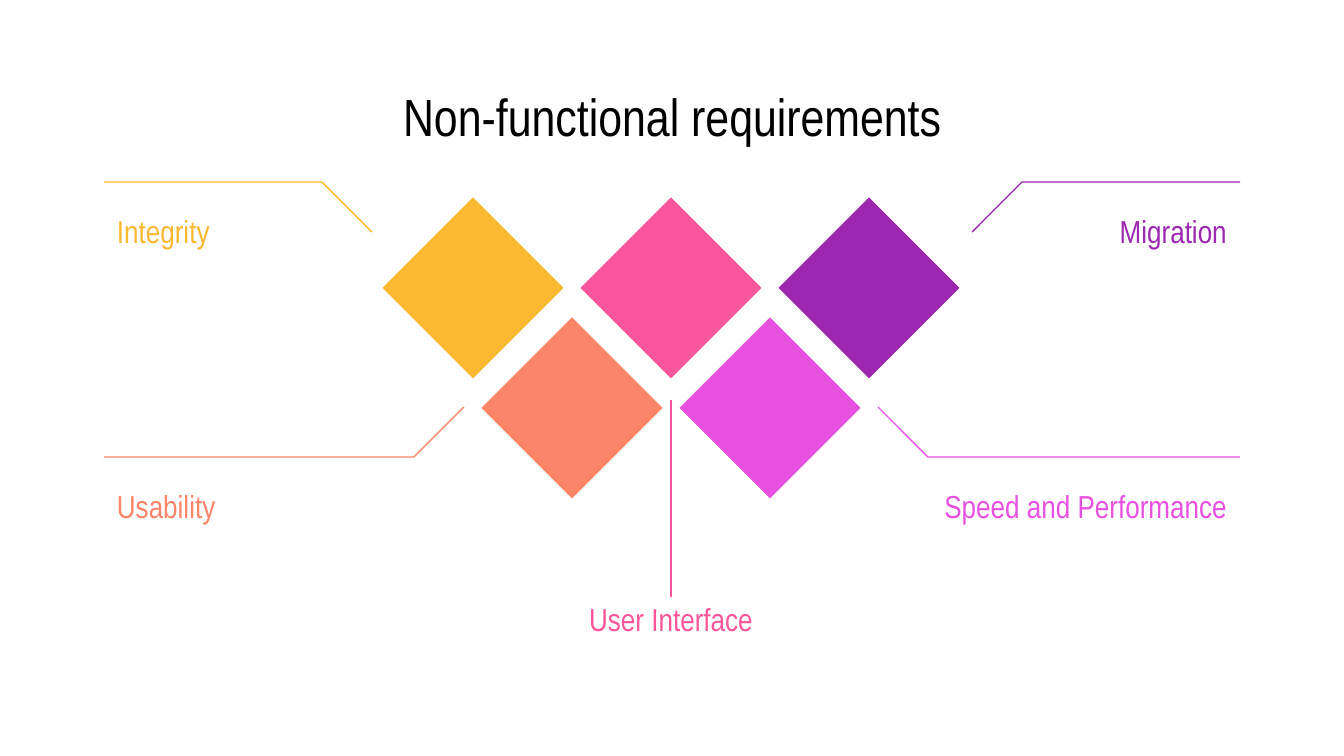
from pptx import Presentation
from pptx.dml.color import RGBColor
from pptx.enum import shapes, text
from pptx.oxml import ns
from pptx.util import Emu, Pt
from lxml import etree

PX = 914400 / 134.4
FONT = "Arial Narrow"
COLOURS = {
    "title": "000000",
    "integrity": "FBB831",
    "usability": "FB8569",
    "interface": "FB569C",
    "speed": "E850E0",
    "migration": "9C27B0",
}
ALIGN = text.PP_ALIGN


def px(value):
    return Emu(round(value * PX))


def colour(name):
    return RGBColor.from_string(COLOURS[name])


def add_label(page, box, wording, name, size, align):
    label = page.shapes.add_textbox(*map(px, box))
    frame = label.text_frame
    frame.text = wording
    frame.word_wrap = True
    frame.vertical_anchor = text.MSO_ANCHOR.MIDDLE
    frame.margin_left = frame.margin_right = px(13)
    frame.margin_top = frame.margin_bottom = px(13)
    para = frame.paragraphs[0]
    para.alignment = align
    span = para.runs[0]
    span.font.name = FONT
    span.font.size = Pt(size)
    span.font.color.rgb = colour(name)


def style_line(line, name):
    line.color.rgb = colour(name)
    line.width = Pt(0.75)


def add_diamonds(page, box):
    left, top, width, height = box
    across, side = 180, 128
    step_x = (width - across) / 4
    step_y = height - across
    names = ("integrity", "usability", "interface", "speed", "migration")
    for index, name in enumerate(names):
        centre_x = left + across / 2 + index * step_x
        centre_y = top + across / 2 + index % 2 * step_y
        diamond = page.shapes.add_shape(
            shapes.MSO_SHAPE.RECTANGLE,
            px(centre_x - side / 2), px(centre_y - side / 2), px(side), px(side))
        diamond.rotation = 45
        diamond.shadow.inherit = False
        diamond.fill.solid()
        diamond.fill.fore_color.rgb = colour(name)
        diamond.line.fill.background()


def add_callout(page, box, wording, name, label_width, on_right, tip_below):
    left, top, width, height = box
    right, bottom = left + width, top + height
    rule_y, tip_y = (top, bottom) if tip_below else (bottom, top)
    if on_right:
        tip_x, bend_x, end_x = left, left + height, right
        label_left, align = right - label_width, ALIGN.RIGHT
    else:
        tip_x, bend_x, end_x = right, right - height, left
        label_left, align = left, ALIGN.LEFT
    builder = page.shapes.build_freeform(px(tip_x), px(tip_y))
    builder.add_line_segments(
        [(px(bend_x), px(rule_y)), (px(end_x), px(rule_y))], close=False)
    leader = builder.convert_to_shape()
    leader.shadow.inherit = False
    leader.fill.background()
    style_line(leader.line, name)
    label_box = (label_left, rule_y + 27, label_width, 43)
    add_label(page, label_box, wording, name, 17, align)


def add_stem(page, box, wording, name):
    left, top, width, height = box
    label_height = 43
    centre_x = left + width / 2
    label_top = top + height - label_height
    stem = page.shapes.add_connector(
        shapes.MSO_CONNECTOR.STRAIGHT,
        px(centre_x), px(top), px(centre_x), px(label_top))
    style_line(stem.line, name)
    etree.SubElement(stem._element.spPr, ns.qn("a:effectLst"))
    add_label(page, (left, label_top, width, label_height),
              wording, name, 17, ALIGN.CENTER)


def main():
    deck = Presentation()
    deck.slide_width, deck.slide_height = px(1344), px(756)
    page = deck.slides.add_slide(deck.slide_layouts[6])
    add_label(page, (104, 80, 1136, 71), "Non-functional requirements",
              "title", 28, ALIGN.CENTER)
    add_diamonds(page, (383, 198, 576, 300))
    add_stem(page, (545, 400, 252, 240), "User Interface", "interface")
    callouts = (
        ((104, 182, 268, 50), "Integrity", "integrity", 216, False, True),
        ((972, 182, 268, 50), "Migration", "migration", 216, True, True),
        ((104, 407, 360, 50), "Usability", "usability", 216, False, False),
        ((878, 407, 362, 50), "Speed and Performance", "speed", 348, True, False),
    )
    for callout in callouts:
        add_callout(page, *callout)
    deck.save("out.pptx")


if __name__ == "__main__":
    main()
